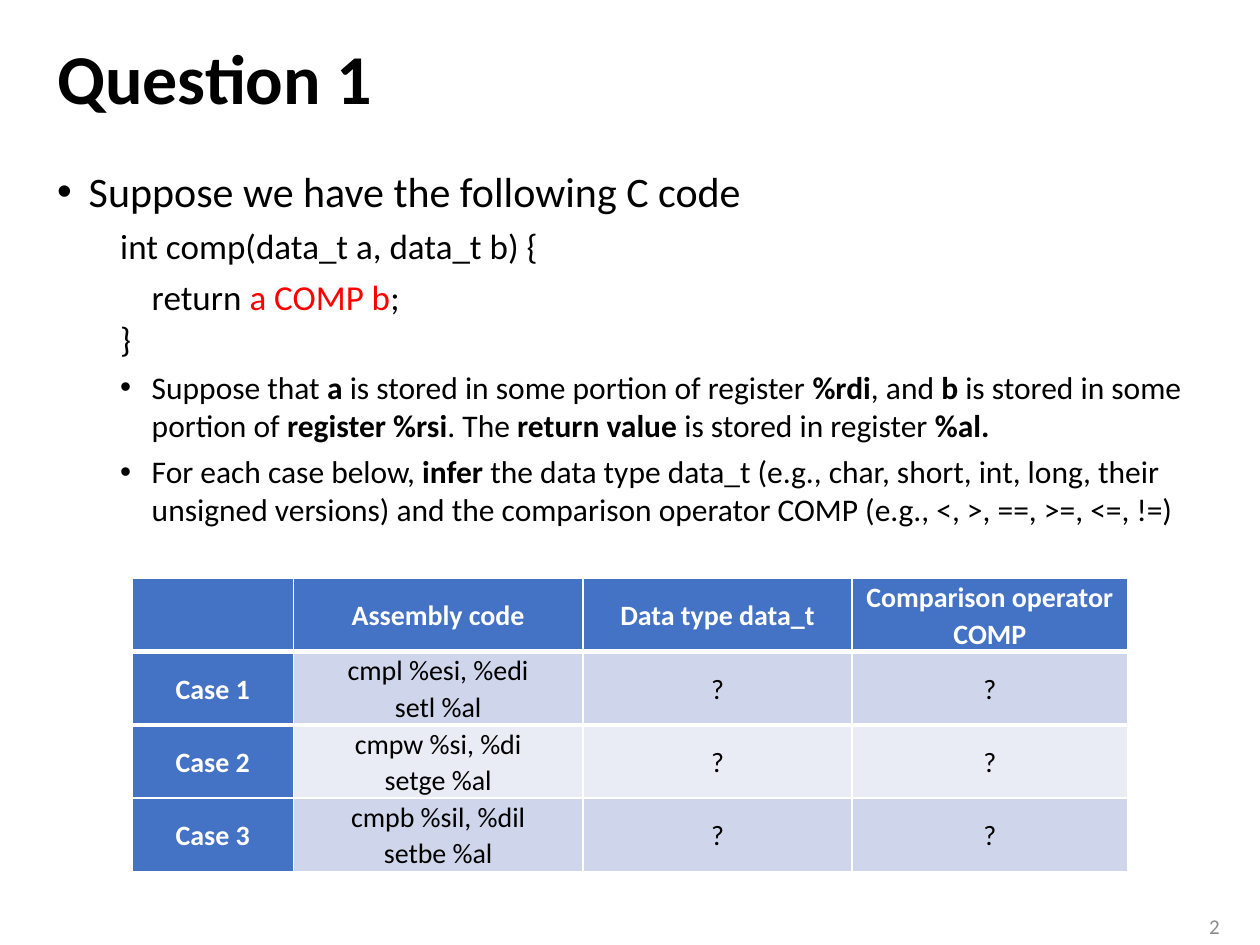
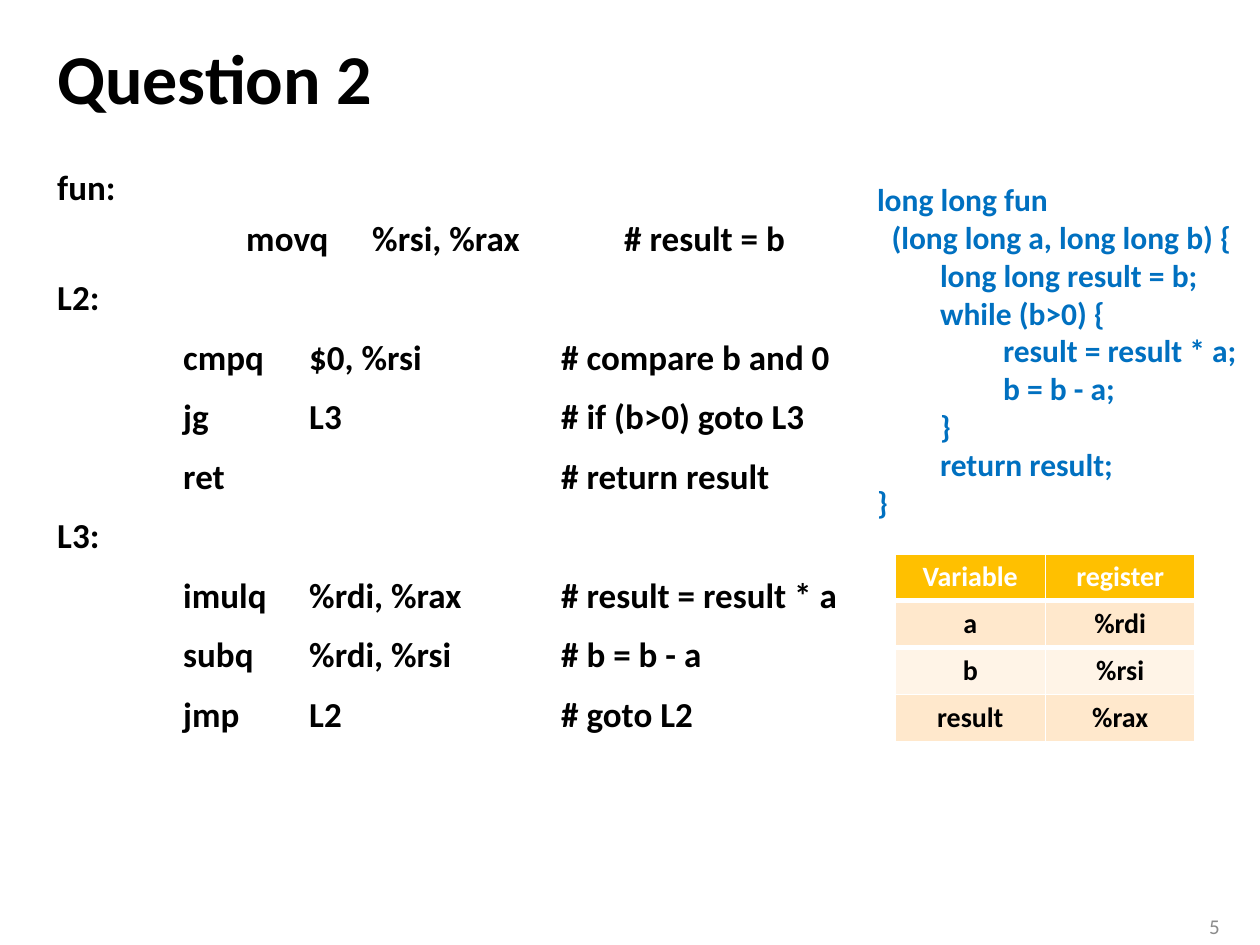
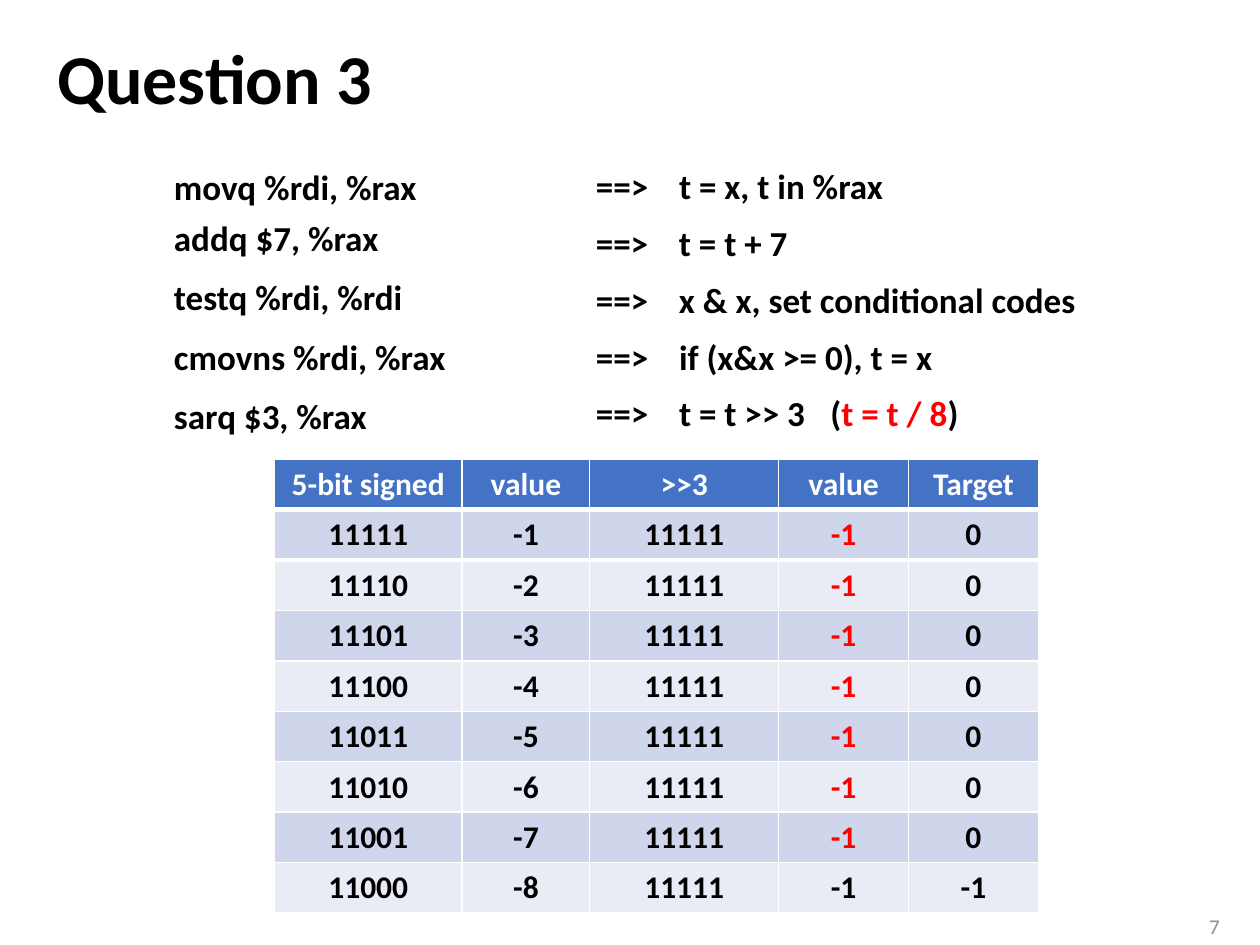
from dataclasses import dataclass, replace
from typing import Optional, Sequence, Union

from lxml.etree import SubElement
from pptx import Presentation
from pptx.dml.color import RGBColor
from pptx.enum.text import MSO_ANCHOR as Anchor, MSO_AUTO_SIZE as AutoSize, PP_ALIGN as Align
from pptx.oxml.ns import qn
from pptx.util import Pt

BLACK = RGBColor(0x00, 0x00, 0x00)
WHITE = RGBColor(0xFF, 0xFF, 0xFF)
RED = RGBColor(0xFF, 0x00, 0x00)
CODE_BLUE = RGBColor(0x00, 0x70, 0xC0)
NUMBER_GRAY = RGBColor(0x8C, 0x8C, 0x8C)
BLUE = RGBColor(0x44, 0x72, 0xC4)
BLUE_BAND = RGBColor(0xCF, 0xD5, 0xEA)
BLUE_PALE = RGBColor(0xE9, 0xEB, 0xF5)
GOLD = RGBColor(0xFF, 0xC0, 0x00)
GOLD_BAND = RGBColor(0xFF, 0xE8, 0xCC)
GOLD_PALE = RGBColor(0xFF, 0xF4, 0xE7)

FONT = "Calibri"
INDENT = 36
MARGIN_LEFT = 25.5
BODY_TOP = 90.9
BODY_RIGHT = 694.4
BODY_HEIGHT = 419.8


@dataclass(frozen=True)
class Span:
    text: str
    bold: Optional[bool] = None
    color: Optional[RGBColor] = None


@dataclass(frozen=True)
class Line:
    spans: Sequence[Span]
    size: float = 20
    bold: bool = False
    color: RGBColor = BLACK
    level: int = 0
    left: float = 0
    first: float = 0
    before: float = 0
    spacing: float = 1.0
    align: Align = Align.LEFT
    bullet: bool = False
    tab_size: float = 72
    tabs: Sequence[float] = ()


@dataclass(frozen=True)
class Area:
    left: float
    top: float
    width: float
    height: float

    def lengths(self) -> list:
        return [Pt(value) for value in (self.left, self.top, self.width, self.height)]


@dataclass(frozen=True)
class TableLook:
    header: RGBColor
    bands: Sequence[RGBColor]
    size: float = 16
    row_height: float = 28.8
    body_bold: bool = True
    first_column: bool = False
    spacing: float = 1.0
    tight: bool = False


BLUE_LOOK = TableLook(BLUE, (BLUE_BAND, BLUE_PALE), size=18)
CASE_LOOK = replace(BLUE_LOOK, size=16, row_height=41.85, body_bold=False,
                    first_column=True, spacing=1.07, tight=True)
GOLD_LOOK = TableLook(GOLD, (GOLD_BAND, GOLD_PALE), row_height=26.8)


def plain(text: str, **style) -> Line:
    return Line([Span(text)], **style)


def write_line(para, line: Line) -> None:
    para.level = line.level
    para.alignment = line.align
    para.line_spacing = line.spacing
    para.space_before = Pt(line.before)
    para.space_after = Pt(0)
    props = para._p.get_or_add_pPr()
    props.set("defTabSz", str(Pt(line.tab_size)))
    if not line.tabs:
        props.set("marL", str(Pt(line.left)))
        props.set("indent", str(Pt(line.first)))
    if line.bullet:
        SubElement(props, qn("a:buFont"), typeface="Arial")
        SubElement(props, qn("a:buChar"), char="•")
    else:
        SubElement(props, qn("a:buNone"))
    if line.tabs:
        tab_list = SubElement(props, qn("a:tabLst"))
        for stop in line.tabs:
            SubElement(tab_list, qn("a:tab"), pos=str(Pt(stop)), algn="l")
    para.font.name = FONT
    para.font.size = Pt(line.size)
    para.font.bold = line.bold
    para.font.color.rgb = line.color
    for span in line.spans:
        for index, piece in enumerate(span.text.split("\n")):
            if index:
                para.add_line_break()
            run = para.add_run()
            run.text = piece
            if span.bold is not None:
                run.font.bold = span.bold
            if span.color is not None:
                run.font.color.rgb = span.color


def write_lines(frame, lines: Sequence[Line]) -> None:
    for index, line in enumerate(lines):
        write_line(frame.add_paragraph() if index else frame.paragraphs[0], line)


def fill_placeholder(box, area: Area, lines: Sequence[Line], anchor: Anchor) -> None:
    box.left, box.top, box.width, box.height = area.lengths()
    frame = box.text_frame
    frame.auto_size = AutoSize.NONE
    frame.vertical_anchor = anchor
    write_lines(frame, lines)


def add_text(page, area: Area, lines: Sequence[Line], anchor: Anchor = Anchor.TOP) -> None:
    frame = page.shapes.add_textbox(*area.lengths()).text_frame
    frame.word_wrap = True
    frame.vertical_anchor = anchor
    write_lines(frame, lines)


def add_page(deck, title: str, number: int, body: Sequence[Line], body_left: float = MARGIN_LEFT):
    page = deck.slides.add_slide(deck.slide_layouts[1])
    fill_placeholder(page.shapes.title, Area(MARGIN_LEFT, 13.7, 668.9, 66.2),
                     [plain(title, size=40, bold=True, spacing=0.9)], Anchor.MIDDLE)
    fill_placeholder(page.placeholders[1],
                     Area(body_left, BODY_TOP, BODY_RIGHT - body_left, BODY_HEIGHT),
                     body, Anchor.TOP)
    add_text(page, Area(667.4, 517.9, 36.7, 22.3),
             [plain(str(number), size=12, color=NUMBER_GRAY, align=Align.RIGHT)], Anchor.MIDDLE)
    return page


def add_border(cell, side: str, width: float) -> None:
    props = cell._tc.get_or_add_tcPr()
    border = SubElement(props, qn(f"a:{side}"), w=str(Pt(width)))
    fill = SubElement(border, qn("a:solidFill"))
    SubElement(fill, qn("a:srgbClr"), val=str(WHITE))
    props.insert(0, border)


def add_grid(page, left: float, top: float, widths: Sequence[float],
             rows: Sequence[Sequence[Union[str, Span]]], look: TableLook) -> None:
    area = Area(left, top, sum(widths), look.row_height * len(rows))
    table = page.shapes.add_table(len(rows), len(widths), *area.lengths()).table
    table.first_col = look.first_column
    for column, width in zip(table.columns, widths):
        column.width = Pt(width)
    for row_index, row in enumerate(rows):
        table.rows[row_index].height = Pt(look.row_height)
        for column_index, content in enumerate(row):
            cell = table.cell(row_index, column_index)
            is_header = row_index == 0 or (look.first_column and column_index == 0)
            cell.fill.solid()
            cell.fill.fore_color.rgb = look.header if is_header else look.bands[(row_index - 1) % 2]
            cell.vertical_anchor = Anchor.MIDDLE
            if row_index < 2:
                add_border(cell, "lnT" if row_index else "lnB", 3)
            if look.tight:
                cell.margin_left = cell.margin_right = Pt(5.4)
                cell.margin_top = cell.margin_bottom = Pt(0)
            span = content if isinstance(content, Span) else Span(content)
            bold = is_header or look.body_bold
            color = span.color or (WHITE if is_header else BLACK)
            write_lines(cell.text_frame, [
                Line([Span(text, bold, color)] if text else [], size=look.size, bold=bold,
                     color=color, spacing=look.spacing, align=Align.CENTER)
                for text in span.text.split("\n")])


def add_question_1(deck) -> None:
    code = Line([], level=1, left=INDENT, before=5)
    note = Line([], size=18, level=1, left=54, first=-18, before=5, bullet=True)
    page = add_page(deck, "Question 1", 2, [
        plain("Suppose we have the following C code", size=24, left=18, first=-18,
              before=10, bullet=True),
        replace(code, spans=[Span("int comp(data_t a, data_t b) {")]),
        replace(code, first=18, spans=[Span("return "), Span("a COMP b", color=RED), Span(";\n}")]),
        replace(note, spans=[
            Span("Suppose that "), Span("a", True),
            Span(" is stored in some portion of register "), Span("%rdi", True),
            Span(", and "), Span("b", True), Span(" is stored in some portion of "),
            Span("register %rsi", True), Span(". The "), Span("return value ", True),
            Span("is stored in register "), Span("%al.", True)]),
        replace(note, spans=[
            Span("For each case below, "), Span("infer", True),
            Span(" the data type data_t (e.g., char, short, int, long, their unsigned versions) "
                 "and the comparison operator COMP (e.g., <, >, ==, >=, <=, !=)")]),
    ])
    cases = ["cmpl %esi, %edi\nsetl %al", "cmpw %si, %di\nsetge %al", "cmpb %sil, %dil\nsetbe %al"]
    rows = [["", "Assembly code", "Data type data_t", "Comparison operator COMP"]]
    rows += [[f"Case {index}", case, "?", "?"] for index, case in enumerate(cases, 1)]
    add_grid(page, 75.6, 330.6, [92, 165.6, 153.6, 157.7], rows, CASE_LOOK)


def add_question_2(deck) -> None:
    listing = [
        "fun:",
        "\tmovq\t%rsi, %rax\t# result = b",
        "L2:",
        "\tcmpq\t$0, %rsi\t\t# compare b and 0",
        "\tjg\tL3\t\t# if (b>0) goto L3",
        "\tret\t\t\t# return result",
        "L3:",
        "\timulq\t%rdi, %rax\t# result = result * a",
        "\tsubq\t%rdi, %rsi\t# b = b - a",
        "\tjmp\tL2\t\t# goto L2",
    ]
    body = [plain(text, bold=True, before=10) for text in listing]
    body[1] = replace(body[1], level=1, left=INDENT, before=5)
    page = add_page(deck, "Question 2", 5, body)
    add_grid(page, 511.6, 316.5, [85.7, 85.7],
             [["Variable", "register"], ["a", "%rdi"], ["b", "%rsi"], ["result", "%rax"]],
             GOLD_LOOK)
    source = [
        (0, "long long fun"),
        (0.23, "(long long a, long long b) {"),
        (1, "long long result = b;"),
        (1, "while (b>0) {"),
        (2, "result = result * a;"),
        (2, "b = b - a;"),
        (1, "}"),
        (1, "return result;"),
        (0, "}"),
    ]
    add_text(page, Area(458.1, 99.4, 259.2, 203.8),
             [plain(text, size=18, bold=True, color=CODE_BLUE, level=1, left=INDENT * (1 + depth))
              for depth, text in source])


def add_question_3(deck) -> None:
    steps = ["movq %rdi, %rax", "addq $7, %rax", "testq %rdi, %rdi",
             "cmovns %rdi, %rax", "sarq $3, %rax"]
    body = [plain(text, bold=True, left=INDENT, level=1 if index < 2 else 0,
                  before=5 if index < 2 else 10)
            for index, text in enumerate(steps)]
    page = add_page(deck, "Question 3", 7, body, body_left=56.2)
    meanings = [
        (187, [Span("t = x, t in %rax")]),
        (127, [Span("t = t + 7")]),
        (294, [Span("x & x, set conditional codes")]),
        (212, [Span("if (x&x >= 0), t = x")]),
        (240, [Span("t = t >> 3\t("), Span("t = t / 8", color=RED), Span(")")]),
    ]
    for index, (width, spans) in enumerate(meanings):
        add_text(page, Area(333.4, 90.7 + 32.4 * index, width, 31.7),
                 [Line([Span("==>\t"), *spans], bold=True, tab_size=47.5, tabs=(47.5, 134))])
    rows = [["5-bit signed", "value", ">>3", "value", "Target"]]
    for number in range(1, 9):
        target = -(number // 8)
        shifted = Span("-1", color=RED if target != -1 else None)
        rows.append([f"{32 - number:05b}", str(-number), "11111", shifted, str(target)])
    add_grid(page, 156.8, 262.3, [107.3, 72.9, 108, 74.2, 74.2], rows, BLUE_LOOK)


def main() -> None:
    deck = Presentation()
    deck.slide_width, deck.slide_height = Pt(720), Pt(540)
    add_question_1(deck)
    add_question_2(deck)
    add_question_3(deck)
    deck.save("out.pptx")


if __name__ == "__main__":
    main()
